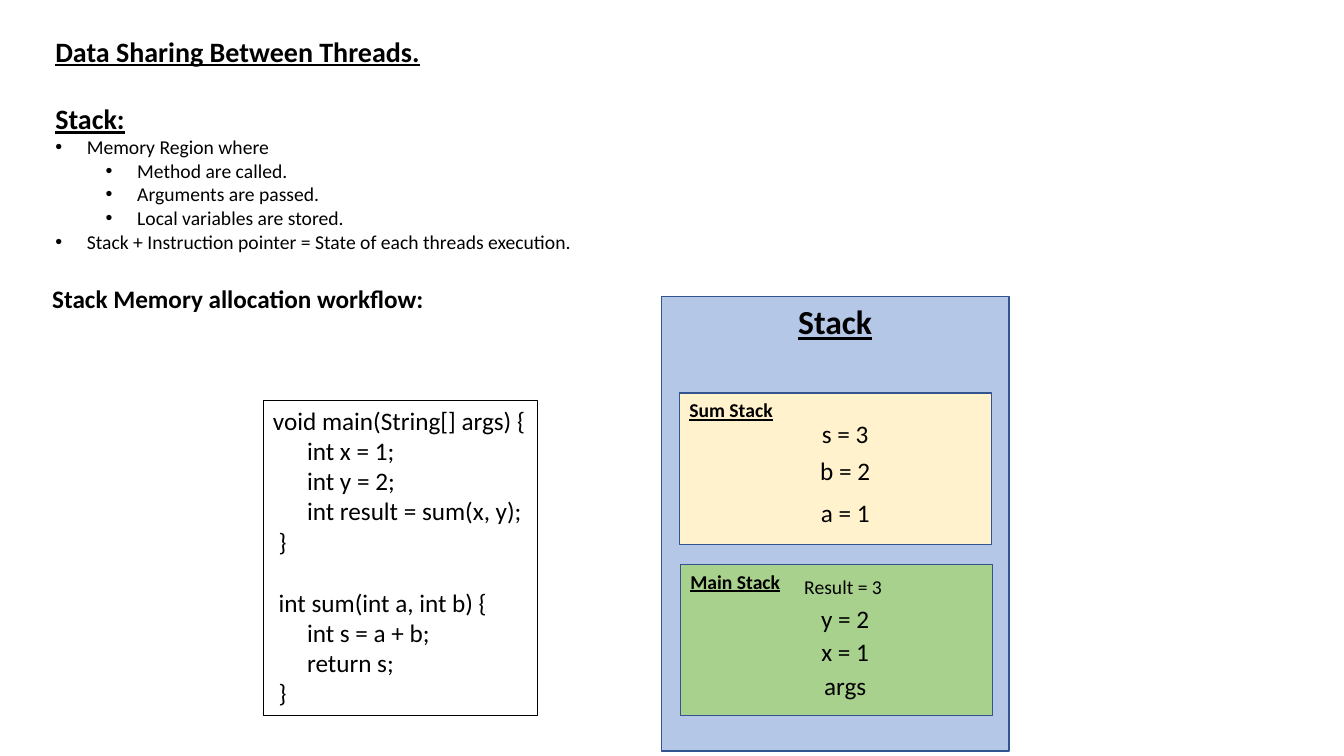
from pptx import Presentation
from pptx.util import Pt
from pptx.dml.color import RGBColor
from pptx.enum import shapes, text
from pptx.oxml.ns import qn
from lxml import etree

HEADS = [
    ("Data Sharing Between Threads.", (32.4, 20.9, 277.2, 31.7), "head", True),
    ("Stack Memory allocation workflow:", (30.2, 198.7, 282.2, 51.1), "body", False),
]
NOTES = [
    (0, "Memory Region where"),
    (1, "Method are called."),
    (1, "Arguments are passed."),
    (1, "Local variables are stored."),
    (0, "Stack + Instruction pointer = State of each threads execution."),
]
CODE = [
    "void main(String[] args) {",
    "      int x = 1;",
    "      int y = 2;",
    "      int result = sum(x, y);",
    " }",
    " int sum(int a, int b) {",
    "      int s = a + b;",
    "      return s;",
    " }",
]
FRAMES = [
    ("Stack", (472.3, 211.7, 248.4, 324.7), "blue", "large", "CENTER"),
    ("Main Stack", (486, 403.2, 223.2, 108), "green", "small", "LEFT"),
    ("Sum Stack", (485.3, 280.8, 223.2, 108), "cream", "small", "LEFT"),
]
VARS = [
    ("s = 3", 295.2), ("b = 2", 321.8), ("a = 1", 351.4),
    ("y = 2", 427.7), ("x = 1", 450.7), ("args", 475.2),
]
THEME = {
    "font": "Calibri", "ink": "000000", "edge": "325491",
    "blue": "B4C7E7", "green": "A9D18E", "cream": "FFF2CC",
    "large": 24, "head": 20, "body": 18, "small": 14,
}


def tint(key):
    return RGBColor.from_string(THEME[key])


def style(para, size, bold=False, under=False, align="LEFT"):
    para.alignment = getattr(text.PP_ALIGN, align)
    for run in para.runs:
        font = run.font
        font.name = THEME["font"]
        font.size = Pt(THEME[size])
        font.color.rgb = tint("ink")
        font.bold = bold
        font.underline = under


def label(slide, words, box, size, wrap=True, **look):
    frame = slide.shapes.add_textbox(*map(Pt, box)).text_frame
    frame.word_wrap = wrap
    frame.text = words
    style(frame.paragraphs[0], size, **look)
    return frame


def panel(slide, words, box, fill, line, width):
    rect = slide.shapes.add_shape(shapes.MSO_SHAPE.RECTANGLE, *map(Pt, box))
    rect.shadow.inherit = False
    if fill:
        rect.fill.solid()
        rect.fill.fore_color.rgb = tint(fill)
    else:
        rect.fill.background()
    rect.line.color.rgb = tint(line)
    rect.line.width = Pt(width)
    frame = rect.text_frame
    frame.word_wrap = True
    frame.vertical_anchor = text.MSO_ANCHOR.TOP
    frame.text = words
    return frame


def bullet(para, level):
    para.level = level
    props = para._p.get_or_add_pPr()
    props.set("marL", str(Pt(22.5 + 36 * level)))
    props.set("indent", str(Pt(-22.5)))
    etree.SubElement(props, qn("a:buFont")).set("typeface", "Arial")
    etree.SubElement(props, qn("a:buChar")).set("char", "•")


def main():
    deck = Presentation()
    deck.slide_width, deck.slide_height = Pt(960), Pt(540)
    slide = deck.slides.add_slide(deck.slide_layouts[6])

    for words, box, size, under in HEADS:
        label(slide, words, box, size, wrap=False, bold=True, under=under)

    notes = label(slide, "Stack:", (32.4, 69.1, 389.5, 116.6), "head",
                  wrap=False, bold=True, under=True)
    for level, words in NOTES:
        para = notes.add_paragraph()
        para.text = words
        bullet(para, level)
        style(para, "small")

    code = panel(slide, "\n".join(CODE), (187.9, 285.8, 195.8, 225.4),
                 None, "ink", 0.75)
    for para in code.paragraphs:
        style(para, "body")
        if para.text.startswith(" int sum"):
            para.space_before = Pt(22)

    for words, box, fill, size, align in FRAMES:
        frame = panel(slide, words, box, fill, "edge", 1)
        style(frame.paragraphs[0], size, bold=True, under=True, align=align)

    for words, top in VARS:
        label(slide, words, (558.4, top, 90.7, 28.8), "body", align="CENTER")
    label(slide, "Result = 3", (542.2, 406.8, 120.2, 24.5), "small",
          align="CENTER")

    deck.save("out.pptx")


if __name__ == "__main__":
    main()
